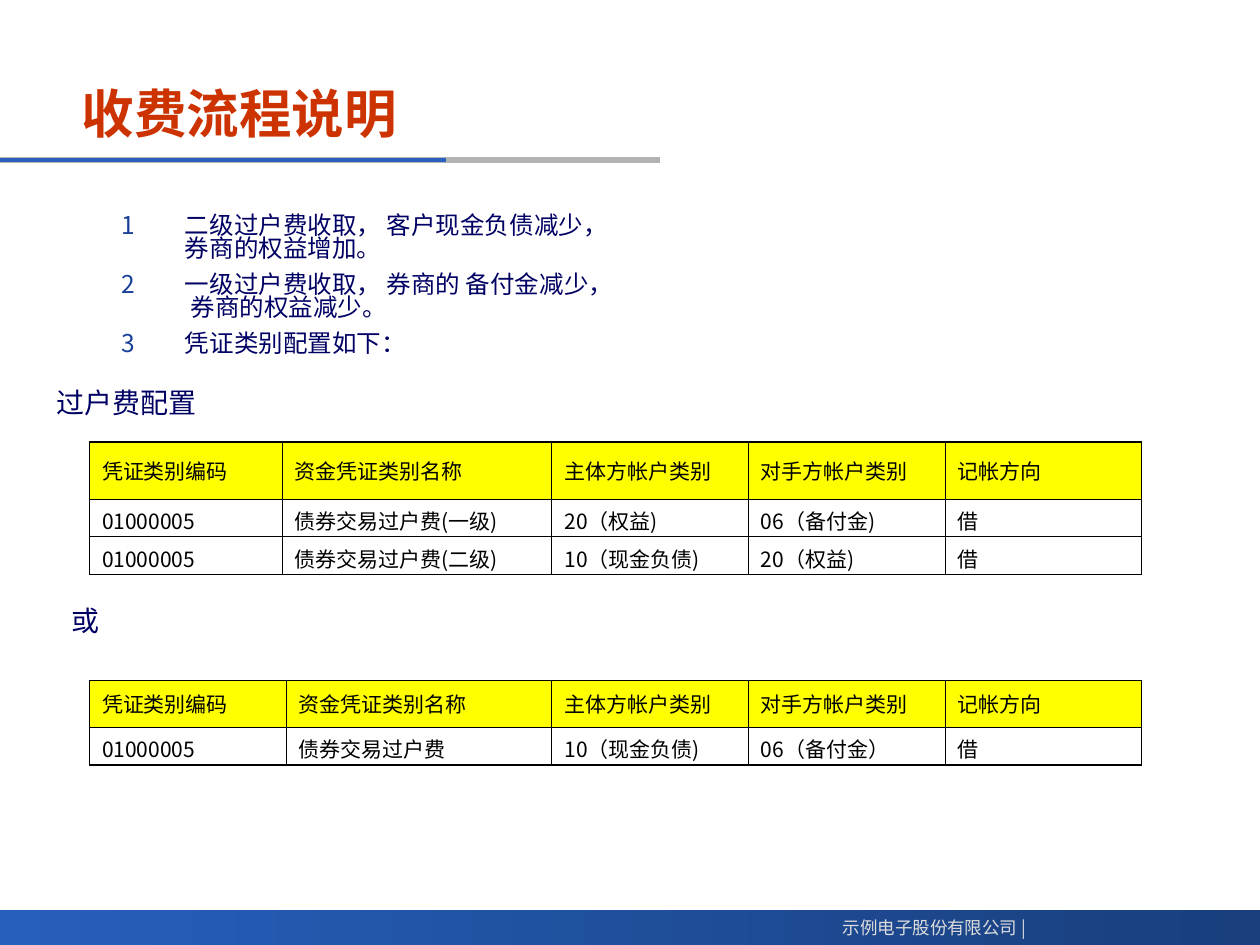
from dataclasses import dataclass

from lxml.etree import SubElement
from pptx import Presentation
from pptx.dml.color import RGBColor
from pptx.enum.shapes import MSO_CONNECTOR, MSO_SHAPE
from pptx.enum.text import MSO_ANCHOR, MSO_AUTO_SIZE, PP_ALIGN
from pptx.oxml.ns import qn
from pptx.util import Inches, Pt

COLUMNS, ROWS = 100, 75  # grid of the whole slide


@dataclass(frozen=True)
class Theme:
    latin: str = "Arial"
    cjk: str = "Noto Sans CJK SC"
    title: str = "CC3300"
    body: str = "000064"
    number: str = "184098"
    footer: str = "DDDDDD"
    rule_blue: str = "2A60C0"
    rule_grey: str = "B2B2B2"
    bar_dark: str = "193F7C"
    bar_light: str = "265FBC"
    ink: str = "000000"
    header: str = "FFFF00"
    title_size: float = 30
    label_size: float = 16
    step_size: float = 14
    cell_size: float = 12
    footer_size: float = 10
    outer_border: float = 0.96
    inner_border: float = 0.45


def rgb(value):
    return RGBColor.from_string(value)


def hang(paragraph, inches):
    """Indent the paragraph, with its first line back at the margin."""
    properties = paragraph._p.get_or_add_pPr()
    properties.set("marL", str(Inches(inches)))
    properties.set("indent", str(-Inches(inches)))
    return properties


class SlideBuilder:
    def __init__(self, deck, theme):
        self.theme = theme
        self.unit_x = deck.slide_width / COLUMNS
        self.unit_y = deck.slide_height / ROWS
        self.slide = deck.slides.add_slide(deck.slide_layouts[5])

    def x(self, columns):
        return round(columns * self.unit_x)

    def y(self, rows):
        return round(rows * self.unit_y)

    def box(self, left, top, width, height):
        return self.x(left), self.y(top), self.x(width), self.y(height)

    def add_run(self, paragraph, text, size, color, latin=None, bold=False):
        run = paragraph.add_run()
        run.text = text
        font = run.font
        font.size, font.bold, font.name = Pt(size), bold, latin or self.theme.latin
        font.color.rgb = rgb(color)
        east_asian = SubElement(run._r.get_or_add_rPr(), qn("a:ea"))
        east_asian.set("typeface", self.theme.cjk)

    def title(self, text, *place):
        holder = self.slide.shapes.title
        holder.left, holder.top, holder.width, holder.height = self.box(*place)
        frame = holder.text_frame
        frame.vertical_anchor = MSO_ANCHOR.MIDDLE
        frame.auto_size = MSO_AUTO_SIZE.NONE
        heading = frame.paragraphs[0]
        heading.alignment = PP_ALIGN.LEFT
        self.add_run(heading, text, self.theme.title_size, self.theme.title, bold=True)

    def gradient_bar(self, *place):
        bar = self.slide.shapes.add_shape(MSO_SHAPE.RECTANGLE, *self.box(*place))
        bar.shadow.inherit = False
        bar.line.fill.background()
        bar.fill.gradient()
        bar.fill.gradient_angle = 180
        for stop, color in zip(bar.fill.gradient_stops, (self.theme.bar_dark, self.theme.bar_light)):
            stop.color.rgb = rgb(color)

    def rule(self, length, top, color, weight):
        line = self.slide.shapes.add_connector(
            MSO_CONNECTOR.STRAIGHT, 0, self.y(top), self.x(length), self.y(top))
        line.line.color.rgb = rgb(color)
        line.line.width = Pt(weight)
        SubElement(line._element.spPr, qn("a:effectLst"))

    def text_frame(self, *place, wrap=True):
        frame = self.slide.shapes.add_textbox(*self.box(*place)).text_frame
        frame.word_wrap = wrap
        return frame

    def footer(self, text, *place):
        frame = self.text_frame(*place, wrap=False)
        frame.auto_size = MSO_AUTO_SIZE.SHAPE_TO_FIT_TEXT
        frame.paragraphs[0].alignment = PP_ALIGN.RIGHT
        self.add_run(frame.paragraphs[0], text, self.theme.footer_size,
                     self.theme.footer, self.theme.cjk)

    def label(self, text, *place):
        frame = self.text_frame(*place)
        frame.auto_size = MSO_AUTO_SIZE.SHAPE_TO_FIT_TEXT
        caption = frame.paragraphs[0]
        hang(caption, 0.38)
        caption.line_spacing = 0.9
        caption.space_before, caption.space_after = Pt(10), Pt(4)
        self.add_run(caption, text, self.theme.label_size, self.theme.body)

    def numbered_steps(self, steps, *place):
        frame = self.text_frame(*place)
        for index, text in enumerate(steps):
            step = frame.add_paragraph() if index else frame.paragraphs[0]
            step.line_spacing = 0.8
            step.space_before = step.space_after = Pt(3.5)
            properties = hang(step, 0.5)
            color = SubElement(SubElement(properties, qn("a:buClr")), qn("a:srgbClr"))
            color.set("val", self.theme.number)
            SubElement(properties, qn("a:buAutoNum")).set("type", "arabicPlain")
            self.add_run(step, text, self.theme.step_size, self.theme.body)

    def cell_borders(self, cell, outer_sides):
        for side in "LRTB":
            weight = self.theme.outer_border if side in outer_sides else self.theme.inner_border
            border = SubElement(cell._tc.get_or_add_tcPr(), qn(f"a:ln{side}"), w=str(Pt(weight)))
            fill = SubElement(border, qn("a:solidFill"))
            SubElement(fill, qn("a:srgbClr")).set("val", self.theme.ink)

    def voucher_table(self, records, left, top, widths, heights):
        place = self.box(left, top, sum(widths), sum(heights))
        table = self.slide.shapes.add_table(len(heights), len(widths), *place).table
        table.horz_banding = False
        for column, width in zip(table.columns, widths):
            column.width = self.x(width)
        for row, height in zip(table.rows, heights):
            row.height = self.y(height)
        last_row, last_column = len(heights) - 1, len(widths) - 1
        for r, record in enumerate(records):
            for c, text in enumerate(record):
                cell = table.cell(r, c)
                edges = {"L": c == 0, "R": c == last_column, "T": r == 0, "B": r == last_row}
                self.cell_borders(cell, [side for side, outer in edges.items() if outer])
                if r == 0:
                    cell.fill.solid()
                    cell.fill.fore_color.rgb = rgb(self.theme.header)
                else:
                    cell.fill.background()
                cell.vertical_anchor = MSO_ANCHOR.MIDDLE
                entry = cell.text_frame.paragraphs[0]
                hang(entry, 0.38)
                self.add_run(entry, text, self.theme.cell_size, self.theme.ink, self.theme.cjk)


def main():
    deck = Presentation()
    deck.slide_width, deck.slide_height = Inches(10), Inches(7.5)
    theme = Theme()
    page = SlideBuilder(deck, theme)

    page.gradient_bar(0, 72.2, COLUMNS, 2.8)
    page.rule(52.4, 12.7, theme.rule_grey, 3)
    page.rule(35.4, 12.7, theme.rule_blue, 2.25)
    page.footer("示例电子股份有限公司 |", 65.3, 72.3, 17.1, 2.7)
    page.title("收费流程说明", 5.5, 5.6, 69.2, 6.7)
    page.numbered_steps([
        "二级过户费收取， 客户现金负债减少， 券商的权益增加。",
        "一级过户费收取， 券商的 备付金减少， 券商的权益减少。",
        "凭证类别配置如下：",
    ], 8.7, 16.6, 40.7, 52)

    header = ["凭证类别编码", "资金凭证类别名称", "主体方帐户类别", "对手方帐户类别", "记帐方向"]
    account_columns = [15.6] * 3
    page.voucher_table([
        header,
        ["01000005", "债券交易过户费(一级)", "20（权益)", "06（备付金)", "借"],
        ["01000005", "债券交易过户费(二级)", "10（现金负债)", "20（权益)", "借"],
    ], 7.1, 35.1, [15.3, 21.4, *account_columns], [4.5, 3, 3])
    page.label("过户费配置", 3.5, 30.4, 25.6, 3.4)
    page.label("或", 4.7, 47.7, 5.1, 3.4)
    page.voucher_table([
        header,
        ["01000005", "债券交易过户费", "10（现金负债)", "06（备付金）", "借"],
    ], 7.1, 54, [15.6, 21.1, *account_columns], [3.7, 3])

    deck.save("out.pptx")


if __name__ == "__main__":
    main()
